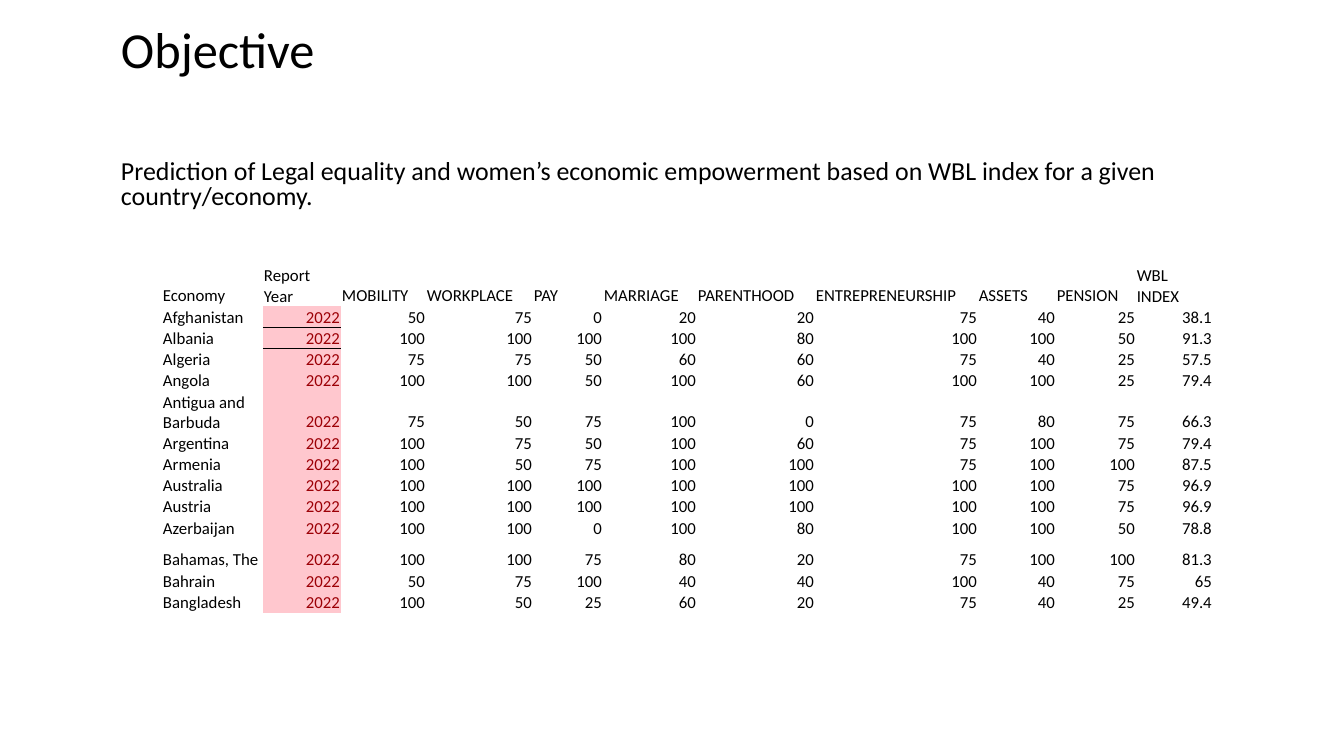
from lxml.etree import SubElement
from pptx import Presentation
from pptx.dml.color import RGBColor
from pptx.enum.text import MSO_ANCHOR as Anchor, PP_ALIGN as Align
from pptx.oxml import parse_xml
from pptx.oxml.ns import nsdecls, qn
from pptx.util import Emu, Pt

TITLE = "Objective"
GOAL = ("Prediction of Legal equality and women’s economic empowerment "
        "based on WBL index for a given country/economy.")
HEADINGS = ("Economy", "Report Year", "MOBILITY", "WORKPLACE", "PAY", "MARRIAGE",
            "PARENTHOOD", "ENTREPRENEURSHIP", "ASSETS", "PENSION", "WBL INDEX")
REPORT_YEAR = 2022
SCORES = [
    ("Afghanistan", 50, 75, 0, 20, 20, 75, 40, 25, 38.1),
    ("Albania", 100, 100, 100, 100, 80, 100, 100, 50, 91.3),
    ("Algeria", 75, 75, 50, 60, 60, 75, 40, 25, 57.5),
    ("Angola", 100, 100, 50, 100, 60, 100, 100, 25, 79.4),
    ("Antigua and Barbuda", 75, 50, 75, 100, 0, 75, 80, 75, 66.3),
    ("Argentina", 100, 75, 50, 100, 60, 75, 100, 75, 79.4),
    ("Armenia", 100, 50, 75, 100, 100, 75, 100, 100, 87.5),
    ("Australia", 100, 100, 100, 100, 100, 100, 100, 75, 96.9),
    ("Austria", 100, 100, 100, 100, 100, 100, 100, 75, 96.9),
    ("Azerbaijan", 100, 100, 0, 100, 80, 100, 100, 50, 78.8),
    ("Bahamas, The", 100, 100, 75, 80, 20, 75, 100, 100, 81.3),
    ("Bahrain", 50, 75, 100, 40, 40, 100, 40, 75, 65),
    ("Bangladesh", 100, 50, 25, 60, 20, 75, 40, 25, 49.4),
]
COLUMN_WIDTHS = (101, 78, 85, 107, 70, 94, 118, 163, 78, 80, 77)
TALL_ROWS = {"Economy", "Antigua and Barbuda", "Bahamas, The"}
ROW_HEIGHT, TALL_HEIGHT = 18, 32
YEAR_COLUMN = 1

FONT = "Calibri"
BLACK = RGBColor(0x00, 0x00, 0x00)
DARK_RED = RGBColor(0x9C, 0x00, 0x06)
PINK = RGBColor(0xFF, 0xC7, 0xCE)
NO_STYLE = "{2D5ABB26-0587-4C30-8999-92F81FD0307C}"
SCALE = 914400 / 100.8


def px(length):
    return Emu(round(length * SCALE))


def write(frame, text, size, color=BLACK, align=Align.LEFT, spacing=None):
    paragraph = frame.paragraphs[0]
    paragraph.alignment = align
    paragraph.line_spacing = spacing
    run = paragraph.add_run()
    run.text = text
    run.font.name, run.font.size = FONT, Pt(size)
    run.font.color.rgb = color


def add_text(slide, box, text, inset_top, **format):
    frame = slide.shapes.add_textbox(*map(px, box)).text_frame
    frame.word_wrap = True
    frame.vertical_anchor = Anchor.TOP
    frame.margin_left = frame.margin_right = px(10)
    frame.margin_top, frame.margin_bottom = px(inset_top), 0
    write(frame, text, **format)


def add_border(cell, side):
    """Draw a thin black line on one side: lnT or lnB."""
    line = parse_xml(f'<a:{side} {nsdecls("a")} w="{Pt(0.5)}"/>')
    fill = SubElement(line, qn("a:solidFill"))
    SubElement(fill, qn("a:srgbClr"), val=str(BLACK))
    cell._tc.get_or_add_tcPr().insert(0, line)


def add_score_table(slide, left, top):
    rows = [HEADINGS] + [(name, REPORT_YEAR, *scores) for name, *scores in SCORES]
    heights = [TALL_HEIGHT if row[0] in TALL_ROWS else ROW_HEIGHT for row in rows]
    frame = slide.shapes.add_table(len(rows), len(HEADINGS), px(left), px(top),
                                   px(sum(COLUMN_WIDTHS)), px(sum(heights)))
    table = frame.table
    table.first_row = table.horz_banding = False
    frame._element.find(".//" + qn("a:tableStyleId")).text = NO_STYLE
    for column, width in zip(table.columns, COLUMN_WIDTHS):
        column.width = px(width)
    for r, (row, height) in enumerate(zip(rows, heights)):
        table.rows[r].height = px(height)
        for c, value in enumerate(row):
            cell = table.cell(r, c)
            marked = r > 0 and c == YEAR_COLUMN
            cell.margin_left = cell.margin_right = cell.margin_top = px(1)
            cell.margin_bottom = 0
            cell.vertical_anchor = Anchor.BOTTOM
            if marked:
                cell.fill.solid()
                cell.fill.fore_color.rgb = PINK
            else:
                cell.fill.background()
            write(cell.text_frame, str(value), size=12,
                  color=DARK_RED if marked else BLACK,
                  align=Align.LEFT if isinstance(value, str) else Align.RIGHT)
    add_border(table.cell(1, YEAR_COLUMN), "lnB")
    add_border(table.cell(2, YEAR_COLUMN), "lnT")


def main():
    deck = Presentation()
    deck.slide_width, deck.slide_height = px(1344), px(756)
    slide = deck.slides.add_slide(deck.slide_layouts[6])
    add_text(slide, (111, 19, 1122, 123), TITLE, inset_top=6, size=36, spacing=0.9)
    add_text(slide, (111, 142, 1122, 104), GOAL, inset_top=19, size=18.5, spacing=0.8)
    add_score_table(slide, 162, 265)
    deck.save("out.pptx")


if __name__ == "__main__":
    main()
